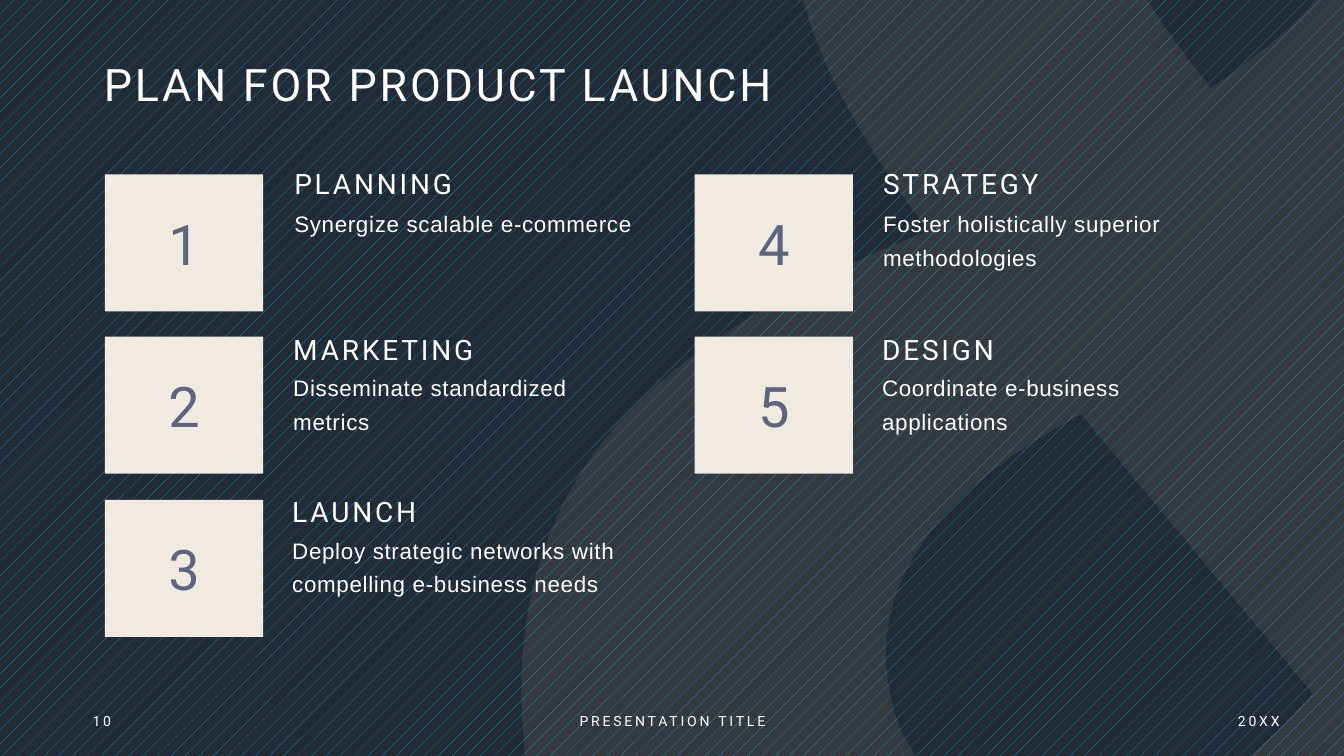
from dataclasses import dataclass

from lxml import etree
from pptx import Presentation
from pptx.dml.color import RGBColor
from pptx.enum.dml import MSO_PATTERN
from pptx.enum.shapes import MSO_SHAPE
from pptx.enum.text import MSO_ANCHOR, MSO_AUTO_SIZE, PP_ALIGN
from pptx.oxml.ns import qn
from pptx.shapes.autoshape import Shape
from pptx.slide import Slide
from pptx.text.text import TextFrame
from pptx.util import Emu, Inches, Pt

PX = 9144
TOP, MIDDLE = MSO_ANCHOR.TOP, MSO_ANCHOR.MIDDLE
LEFT, CENTER, RIGHT = PP_ALIGN.LEFT, PP_ALIGN.CENTER, PP_ALIGN.RIGHT
DOTS = MSO_PATTERN.PERCENT_5
RECT = MSO_SHAPE.RECTANGLE
FIXED = MSO_AUTO_SIZE.NONE
TITLE_ONLY = 5


@dataclass(frozen=True)
class Style:
    size: int
    font: str
    color: str
    track: int = 200
    align: PP_ALIGN = LEFT
    anchor: MSO_ANCHOR = TOP
    line: float = 1.0
    before: int = 0


@dataclass(frozen=True)
class Theme:
    back: str = "222A35"
    hatch: str = "00B0F0"
    sand: str = "D6BFA5"
    tile: str = "F1EAE1"
    title: Style = Style(32, "Roboto", "FFFFFF", line=0.9)
    number: Style = Style(40, "Roboto", "5D657E", align=CENTER, anchor=MIDDLE)
    head: Style = Style(20, "Roboto", "FFFFFF", line=0.8, before=10)
    note: Style = Style(16, "Arial", "FFFFFF", track=50, line=1.25)
    page: Style = Style(10, "Roboto", "FFFFFF", anchor=MIDDLE)
    footer: Style = Style(10, "Roboto", "FFFFFF", align=CENTER, anchor=MIDDLE)
    date: Style = Style(10, "Roboto", "FFFFFF", align=RIGHT, anchor=MIDDLE)


@dataclass(frozen=True)
class Box:
    x: int
    y: int
    w: int
    h: int

    def emu(self) -> tuple[Emu, Emu, Emu, Emu]:
        return Emu(self.x * PX), Emu(self.y * PX), Emu(self.w * PX), Emu(self.h * PX)


@dataclass(frozen=True)
class Row:
    tile: int
    left: int
    head: int
    note: int


@dataclass(frozen=True)
class Step:
    col: int
    row: int
    head: str
    note: str


THEME = Theme()
TILE_X, TILE_W, TILE_H = 104, 157, 136
TILE_GAP, TEXT_GAP = 585, 584
TEXT_W, HEAD_H = 368, 40
ROWS = [Row(173, 282, 167, 197), Row(334, 281, 331, 360), Row(496, 280, 492, 521)]
STEPS = [
    Step(0, 0, "PLANNING", "Synergize scalable e-commerce"),
    Step(0, 1, "MARKETING", "Disseminate standardized metrics"),
    Step(0, 2, "LAUNCH", "Deploy strategic networks with compelling e-business needs"),
    Step(1, 0, "STRATEGY", "Foster holistically superior methodologies"),
    Step(1, 1, "DESIGN", "Coordinate e-business applications"),
]
FOOT = [
    (Box(82, 695, 300, 40), "10", THEME.page),
    (Box(442, 695, 450, 40), "PRESENTATION TITLE", THEME.footer),
    (Box(979, 695, 300, 40), "20XX", THEME.date),
]
START = (921, 229)
SWIRL = [
    (780, 284, 678, 348, 613, 420), (549, 492, 517, 581, 517, 686),
    (517, 708, 519, 730, 521, 750), (908, 750),
    (889, 721, 879, 687, 879, 648), (879, 604, 895, 562, 927, 523),
    (958, 484, 1006, 447, 1072, 411), (1302, 688),
    (1280, 712, 1259, 733, 1240, 750), (1333, 750), (1333, 0), (1305, 0),
    (1280, 29, 1245, 58, 1201, 87), (1175, 55, 1154, 26, 1138, 0), (796, 0),
    (801, 15, 806, 31, 812, 46), (834, 102, 871, 163, 921, 229),
]


def write(frame: TextFrame, text: str, style: Style) -> None:
    frame.word_wrap = True
    frame.auto_size = FIXED
    frame.vertical_anchor = style.anchor
    para = frame.paragraphs[0]
    para.alignment = style.align
    para.line_spacing = style.line
    para.space_before = Pt(style.before)
    run = para.add_run()
    run.text = text
    run.font.size = Pt(style.size)
    run.font.name = style.font
    run.font.color.rgb = RGBColor.from_string(style.color)
    run._r.get_or_add_rPr().set("spc", str(style.track))


def label(slide: Slide, box: Box, text: str, style: Style) -> None:
    write(slide.shapes.add_textbox(*box.emu()).text_frame, text, style)


def paint(shape: Shape, color: str) -> None:
    shape.shadow.inherit = False
    shape.fill.solid()
    shape.fill.fore_color.rgb = RGBColor.from_string(color)
    shape.line.fill.background()


def bend(shape: Shape) -> None:
    left, top = shape.left // PX, shape.top // PX
    edges = list(shape._element.iter(qn("a:lnTo")))
    for edge, part in zip(edges, SWIRL):
        if len(part) == 2:
            continue
        curve = etree.Element(qn("a:cubicBezTo"))
        for x, y in zip(part[::2], part[1::2]):
            point = etree.SubElement(curve, qn("a:pt"))
            point.set("x", str(x - left))
            point.set("y", str(y - top))
        edge.getparent().replace(edge, curve)


def add_swirl(slide: Slide) -> None:
    form = slide.shapes.build_freeform(*START, scale=PX)
    form.add_line_segments([part[-2:] for part in SWIRL], close=True)
    swirl = form.convert_to_shape()
    bend(swirl)
    paint(swirl, THEME.sand)
    tint = swirl._element.spPr.find(qn("a:solidFill"))[0]
    etree.SubElement(tint, qn("a:alpha")).set("val", "10000")
    slide.shapes._spTree.insert(2, swirl._element)


def add_step(slide: Slide, number: int, step: Step) -> None:
    row = ROWS[step.row]
    box = Box(TILE_X + step.col * TILE_GAP, row.tile, TILE_W, TILE_H)
    tile = slide.shapes.add_shape(RECT, *box.emu())
    paint(tile, THEME.tile)
    write(tile.text_frame, str(number), THEME.number)
    left = row.left + step.col * TEXT_GAP
    label(slide, Box(left, row.head, TEXT_W, HEAD_H), step.head, THEME.head)
    end = row.tile + TILE_H
    label(slide, Box(left, row.note, TEXT_W, end - row.note), step.note, THEME.note)


def main() -> None:
    deck = Presentation()
    deck.slide_width, deck.slide_height = Inches(13.33), Inches(7.5)
    slide = deck.slides.add_slide(deck.slide_layouts[TITLE_ONLY])
    fill = slide.background.fill
    fill.patterned()
    fill.pattern = DOTS
    fill.fore_color.rgb = RGBColor.from_string(THEME.hatch)
    fill.back_color.rgb = RGBColor.from_string(THEME.back)
    add_swirl(slide)
    title = slide.shapes.title
    title.left, title.top, title.width, title.height = Box(93, 57, 1127, 59).emu()
    write(title.text_frame, "PLAN FOR PRODUCT LAUNCH", THEME.title)
    for number, step in enumerate(STEPS, 1):
        add_step(slide, number, step)
    for box, text, style in FOOT:
        label(slide, box, text, style)
    deck.save("out.pptx")


if __name__ == "__main__":
    main()
